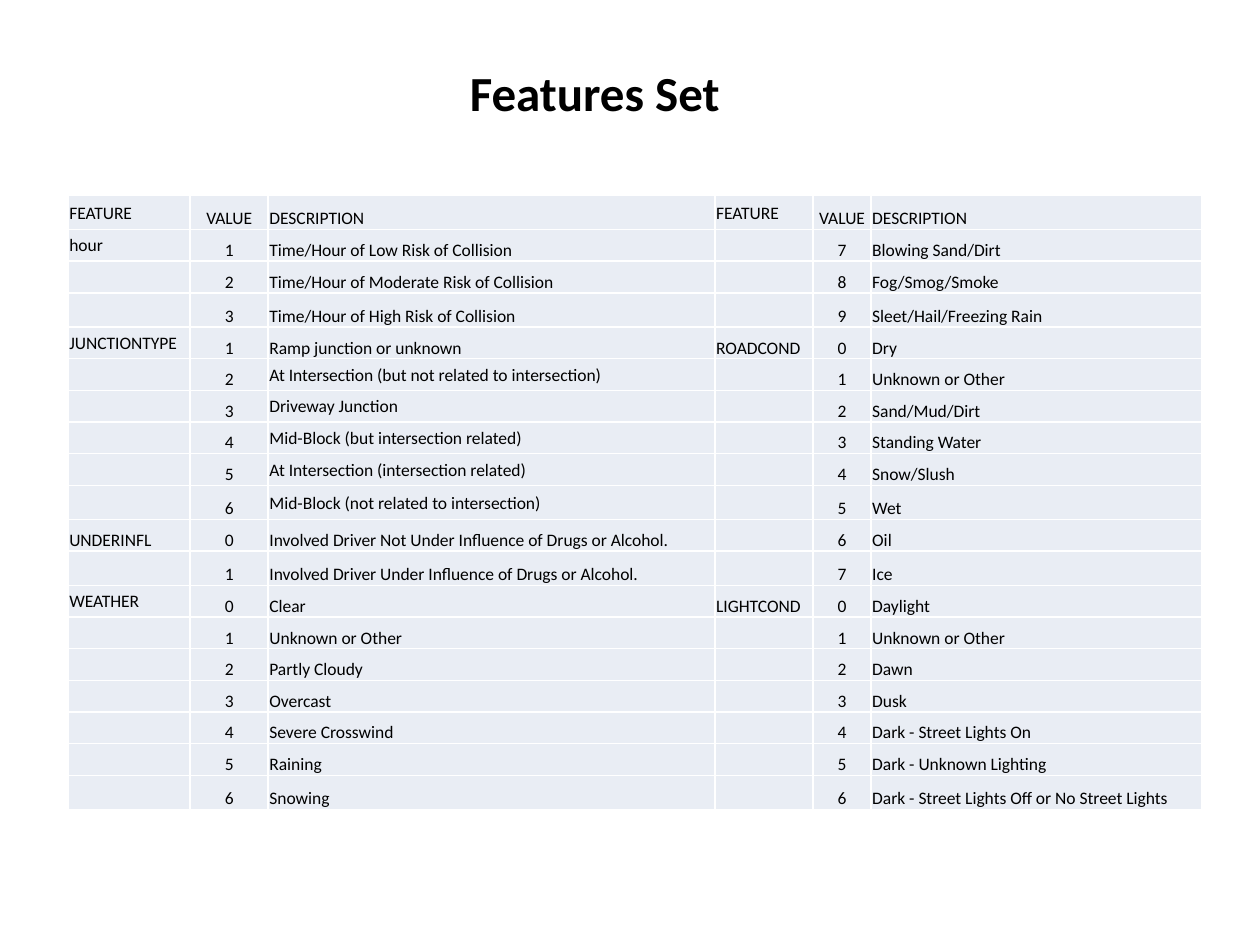
from pptx import Presentation
from pptx.dml.color import RGBColor
from pptx.enum.text import MSO_ANCHOR, PP_ALIGN
from pptx.oxml.xmlchemy import OxmlElement
from pptx.util import Inches, Pt

LEFT, CENTER = PP_ALIGN.LEFT, PP_ALIGN.CENTER
MIDDLE, BOTTOM = MSO_ANCHOR.MIDDLE, MSO_ANCHOR.BOTTOM
COLORS = {"text": "000000", "cell": "E9EDF4", "border": "FFFFFF"}
FONT = "Calibri"
WIDTH, HEIGHT = 10, 7.5

HEADER = ("FEATURE", "VALUE", "DESCRIPTION")
# Each group: feature name, first value, descriptions of consecutive values
LEFT_GROUPS = [
    ("hour", 1, [f"Time/Hour of {level} Risk of Collision"
                 for level in ("Low", "Moderate", "High")]),
    ("JUNCTIONTYPE", 1, [
        "Ramp junction or unknown",
        "At Intersection (but not related to intersection)",
        "Driveway Junction",
        "Mid-Block (but intersection related)",
        "At Intersection (intersection related)",
        "Mid-Block (not related to intersection)"]),
    ("UNDERINFL", 0, [
        "Involved Driver Not Under Influence of Drugs or Alcohol.",
        "Involved Driver Under Influence of Drugs or Alcohol."]),
    ("WEATHER", 0, [
        "Clear", "Unknown or Other", "Partly Cloudy", "Overcast",
        "Severe Crosswind", "Raining", "Snowing"]),
]
RIGHT_GROUPS = [
    ("", 7, ["Blowing Sand/Dirt", "Fog/Smog/Smoke", "Sleet/Hail/Freezing Rain"]),
    ("ROADCOND", 0, [
        "Dry", "Unknown or Other", "Sand/Mud/Dirt", "Standing Water",
        "Snow/Slush", "Wet", "Oil", "Ice"]),
    ("LIGHTCOND", 0, [
        "Daylight", "Unknown or Other", "Dawn", "Dusk",
        "Dark - Street Lights On", "Dark - Unknown Lighting",
        "Dark - Street Lights Off or No Street Lights"]),
]
COLUMN_WEIGHTS = [0.97, 0.62, 3.55, 0.78, 0.46, 2.63]
TALL_ROWS = {0, 3, 9, 11, 18}
VALUE_COLUMNS = {1, 4}
MIDDLE_CELLS = {(0, 0), (0, 3), (1, 0), (4, 0), (12, 0)} | {
    (row, 2) for row in range(5, 10)}


def expand(groups):
    """Turn feature groups into rows, naming each feature only once."""
    rows = [HEADER]
    for feature, first, descriptions in groups:
        for offset, description in enumerate(descriptions):
            rows.append((feature if offset == 0 else "",
                         str(first + offset), description))
    return rows


class SlideBuilder:
    """Holds the style and the slide being filled."""

    def __init__(self, slide):
        """Keep the target slide."""
        self.slide = slide

    def box(self, left, top, width, height):
        """Convert shares of the slide size to lengths."""
        return (Inches(left * WIDTH), Inches(top * HEIGHT),
                Inches(width * WIDTH), Inches(height * HEIGHT))

    def label(self, paragraph, text, size, align=LEFT, bold=False):
        """Add one styled run to a paragraph."""
        paragraph.alignment = align
        run = paragraph.add_run()
        run.text = text
        run.font.name = FONT
        run.font.size = Pt(size)
        run.font.bold = bold
        run.font.color.rgb = RGBColor.from_string(COLORS["text"])

    def title(self, text, *shares):
        """Add the centred heading."""
        frame = self.slide.shapes.add_textbox(*self.box(*shares)).text_frame
        frame.word_wrap = True
        self.label(frame.paragraphs[0], text, 28, CENTER, True)

    def borders(self, cell):
        """Draw a thin line on all four sides of a cell."""
        properties = cell._tc.get_or_add_tcPr()
        for index, side in enumerate(("lnL", "lnR", "lnT", "lnB")):
            line = OxmlElement(f"a:{side}")
            line.set("w", str(Pt(1)))
            fill = OxmlElement("a:solidFill")
            color = OxmlElement("a:srgbClr")
            color.set("val", COLORS["border"])
            fill.append(color)
            line.append(fill)
            properties.insert(index, line)

    def cell(self, cell, text, align, anchor):
        """Fill, frame and label one table cell."""
        cell.fill.solid()
        cell.fill.fore_color.rgb = RGBColor.from_string(COLORS["cell"])
        self.borders(cell)
        cell.margin_left = cell.margin_right = cell.margin_top = Inches(0.01)
        cell.margin_bottom = 0
        cell.vertical_anchor = anchor
        paragraph = cell.text_frame.paragraphs[0]
        if text:
            self.label(paragraph, text, 10, align)
        else:
            end = OxmlElement("a:endParaRPr")
            end.set("sz", "1000")
            paragraph._p.append(end)

    def table(self, rows, *shares):
        """Add the feature table, sharing its size out by weights."""
        left, top, width, height = self.box(*shares)
        table = self.slide.shapes.add_table(
            len(rows), len(COLUMN_WEIGHTS), left, top, width, height).table
        table.first_row = table.horz_banding = False
        for column, weight in zip(table.columns, COLUMN_WEIGHTS):
            column.width = int(width * weight / sum(COLUMN_WEIGHTS))
        row_weights = [0.27 if row in TALL_ROWS else 0.25
                       for row in range(len(rows))]
        for row, weight in zip(table.rows, row_weights):
            row.height = int(height * weight / sum(row_weights))
        for row, texts in enumerate(rows):
            for column, text in enumerate(texts):
                self.cell(table.cell(row, column), text,
                          CENTER if column in VALUE_COLUMNS else LEFT,
                          MIDDLE if (row, column) in MIDDLE_CELLS else BOTTOM)


def main():
    """Build and save the presentation."""
    presentation = Presentation()
    presentation.slide_width = Inches(WIDTH)
    presentation.slide_height = Inches(HEIGHT)
    slide = presentation.slides.add_slide(presentation.slide_layouts[6])
    builder = SlideBuilder(slide)
    rows = [left + right for left, right
            in zip(expand(LEFT_GROUPS), expand(RIGHT_GROUPS))]
    builder.table(rows, 0.054, 1.55 / HEIGHT, 0.9, 4.88 / HEIGHT)
    builder.title("Features Set", 0.287, 0.06, 0.37, 0.57 / HEIGHT)
    presentation.save("out.pptx")


main()
